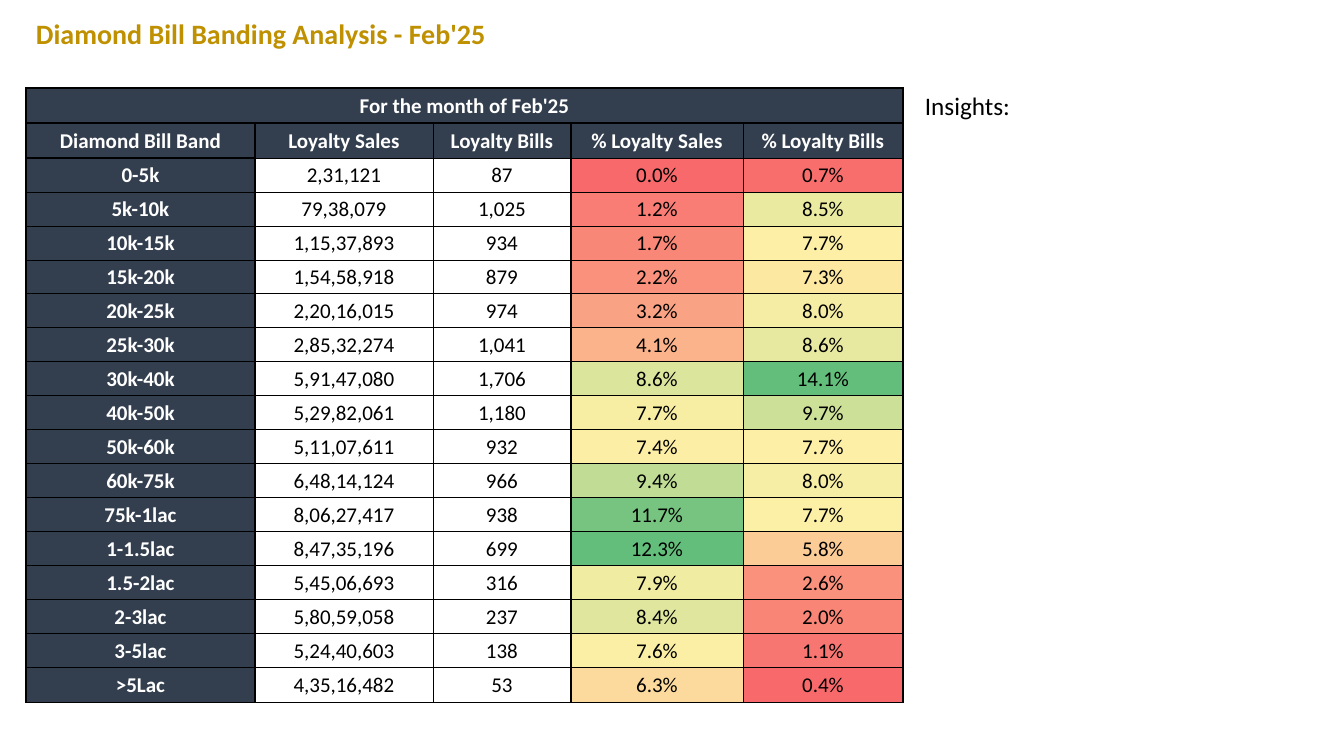
from lxml.etree import SubElement
from pptx import Presentation
from pptx.dml.color import RGBColor
from pptx.enum.text import MSO_ANCHOR as Anchor, PP_ALIGN as Align
from pptx.oxml.ns import qn
from pptx.util import Emu, Pt

GOLD = RGBColor(0xBF, 0x90, 0x00)
NAVY = RGBColor(0x33, 0x3F, 0x4F)
WHITE = RGBColor(0xFF, 0xFF, 0xFF)
BLACK = RGBColor(0x00, 0x00, 0x00)
LOW = RGBColor(0xF8, 0x69, 0x6B)
MIDDLE = RGBColor(0xFD, 0xF0, 0xA6)
HIGH = RGBColor(0x63, 0xBE, 0x7B)


def px(count):
    return Emu(round(count * 914400 / 100.8))


def write_text(frame, text, size=15, color=BLACK, bold=False, align=Align.LEFT):
    frame.word_wrap = True
    para = frame.paragraphs[0]
    para.alignment = align
    span = para.add_run()
    span.text = text
    span.font.name = "Calibri"
    span.font.size = Pt(size)
    span.font.bold = bold
    span.font.color.rgb = color


deck = Presentation()
deck.slide_width, deck.slide_height = px(1344), px(756)
page = deck.slides.add_slide(deck.slide_layouts[6])

title = page.shapes.add_textbox(px(26), px(12), px(1279), px(44))
write_text(title.text_frame, "Diamond Bill Banding Analysis - Feb'25", size=20, color=GOLD, bold=True)
insights = page.shapes.add_textbox(px(915), px(85), px(402), px(40))
write_text(insights.text_frame, "Insights:", size=18)

bands = [
    ("0-5k", "2,31,121", "87"),
    ("5k-10k", "79,38,079", "1,025"),
    ("10k-15k", "1,15,37,893", "934"),
    ("15k-20k", "1,54,58,918", "879"),
    ("20k-25k", "2,20,16,015", "974"),
    ("25k-30k", "2,85,32,274", "1,041"),
    ("30k-40k", "5,91,47,080", "1,706"),
    ("40k-50k", "5,29,82,061", "1,180"),
    ("50k-60k", "5,11,07,611", "932"),
    ("60k-75k", "6,48,14,124", "966"),
    ("75k-1lac", "8,06,27,417", "938"),
    ("1-1.5lac", "8,47,35,196", "699"),
    ("1.5-2lac", "5,45,06,693", "316"),
    ("2-3lac", "5,80,59,058", "237"),
    ("3-5lac", "5,24,40,603", "138"),
    (">5Lac", "4,35,16,482", "53"),
]
rows = [
    ["For the month of Feb'25", "", "", "", ""],
    ["Diamond Bill Band", "Loyalty Sales", "Loyalty Bills", "% Loyalty Sales", "% Loyalty Bills"],
]
rows += [list(band) for band in bands]

heat_fills = {}
for source, column in ((1, 3), (2, 4)):
    values = [int(band[source].replace(",", "")) for band in bands]
    ranked = sorted(values)
    half = len(ranked) // 2
    median = (ranked[half - 1] + ranked[half]) / 2
    for row, value in enumerate(values, start=2):
        rows[row].append(f"{value / sum(values):.1%}")
        if value < median:
            start, end, share = LOW, MIDDLE, (value - ranked[0]) / (median - ranked[0])
        else:
            start, end, share = MIDDLE, HIGH, (value - median) / (ranked[-1] - median)
        mix = [round(a + (b - a) * share) for a, b in zip(start, end)]
        heat_fills[row, column] = RGBColor(*mix)

column_widths = [229, 178, 138, 172, 160]
last_row = len(rows) - 1
row_heights = [35, 35] + [34] * (last_row - 2) + [35]
holder = page.shapes.add_table(
    len(rows), len(column_widths), px(26), px(88), px(sum(column_widths)), px(sum(row_heights))
)
table = holder.table
table.first_row = False
table.horz_banding = False
for column, width in enumerate(column_widths):
    table.columns[column].width = px(width)
for row, height in enumerate(row_heights):
    table.rows[row].height = px(height)
table.cell(0, 0).merge(table.cell(0, 4))

for row, texts in enumerate(rows):
    for column, text in enumerate(texts):
        cell = table.cell(row, column)
        cell.vertical_anchor = Anchor.MIDDLE
        cell.margin_left = cell.margin_top = cell.margin_right = px(1)
        cell.margin_bottom = 0
        thick = {
            "lnL": row == 0 or column in (0, 1, 3),
            "lnR": row == 0 or column in (0, 2, 4),
            "lnT": row < 2 or (row == 2 and column == 0),
            "lnB": row in (0, last_row) or (row == 1 and column == 0),
        }
        for side, is_thick in thick.items():
            line = SubElement(cell._tc.get_or_add_tcPr(), qn(f"a:{side}"), w=str(Pt(1 if is_thick else 0.5)))
            SubElement(SubElement(line, qn("a:solidFill")), qn("a:srgbClr"), val=str(BLACK))
        heading = row < 2 or column == 0
        if heading or (row, column) in heat_fills:
            cell.fill.solid()
            cell.fill.fore_color.rgb = NAVY if heading else heat_fills[row, column]
        else:
            cell.fill.background()
        if text:
            write_text(cell.text_frame, text, color=WHITE if heading else BLACK, bold=heading, align=Align.CENTER)

deck.save("out.pptx")
